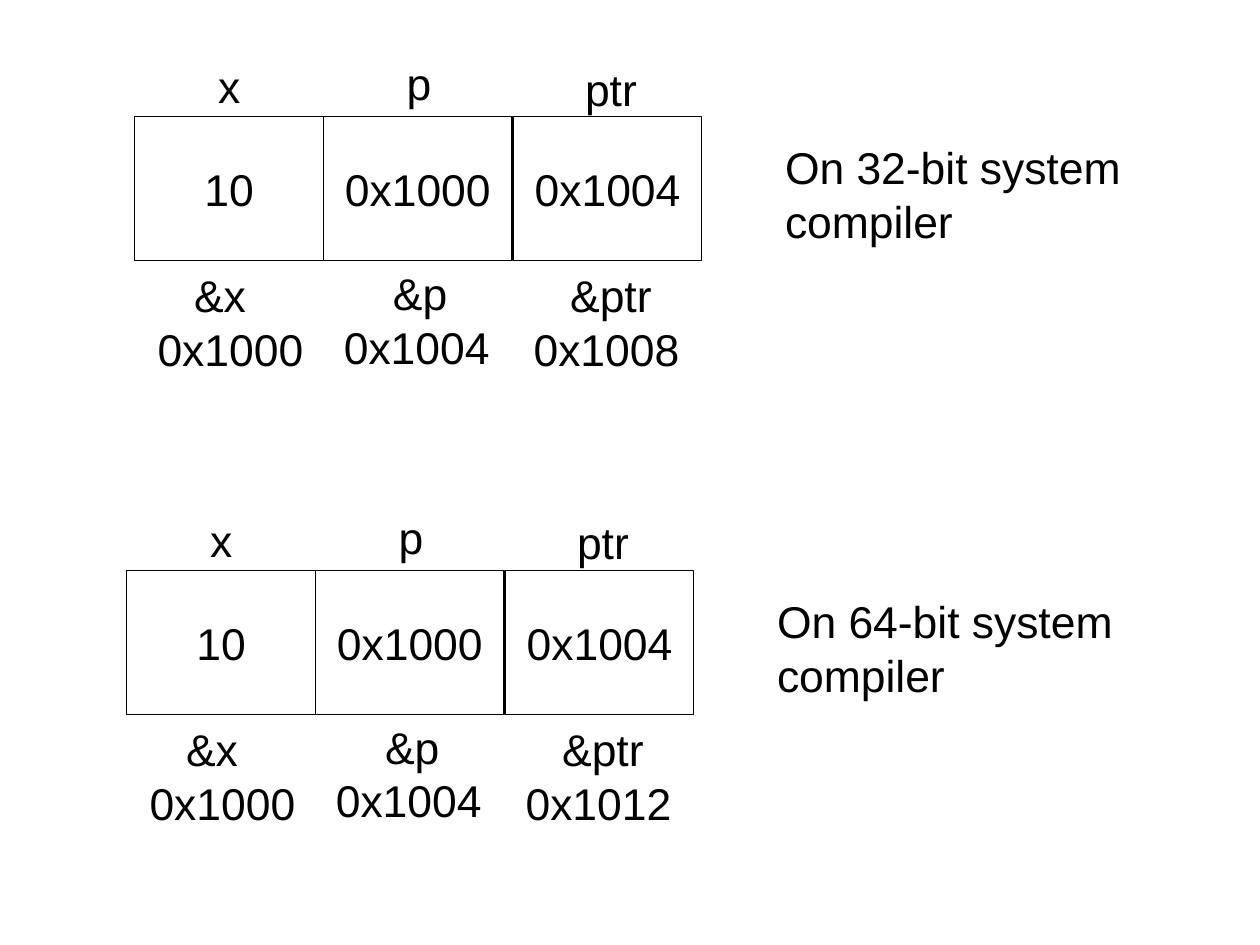
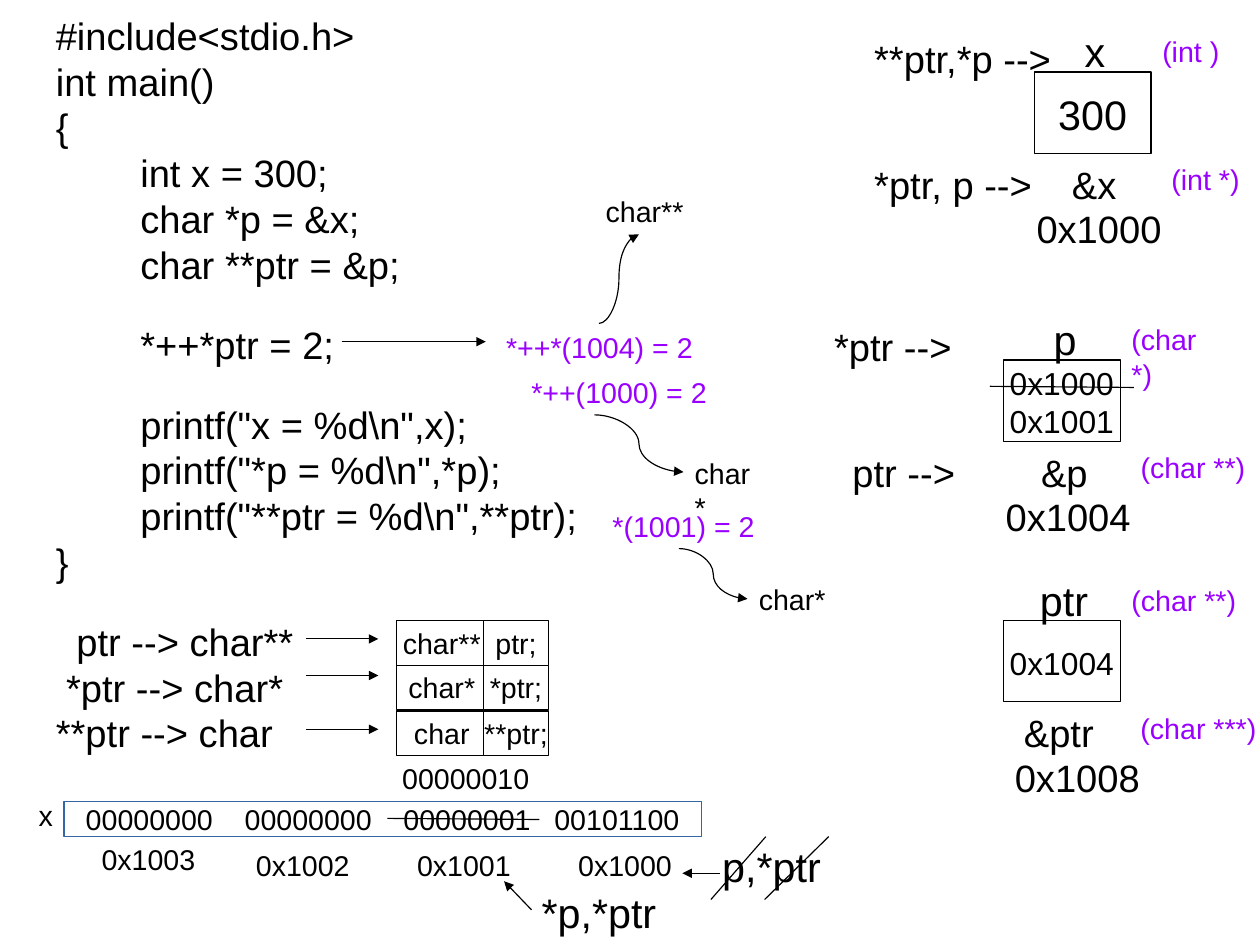
"""Build two slides on pointers in memory and pointer types."""
from dataclasses import dataclass
from typing import NamedTuple

from lxml.etree import SubElement as Sub
from pptx import Presentation as Deck
from pptx.dml.color import RGBColor as Rgb
from pptx.enum.shapes import MSO_CONNECTOR as Conn, MSO_SHAPE as Form
from pptx.enum.text import MSO_ANCHOR as Anchor, PP_ALIGN as Align
from pptx.oxml.ns import qn
from pptx.util import Cm, Pt

SCALE = 9144
FONT = "Arial"
BLACK, WHITE, PURPLE, BLUE = "000000", "FFFFFF", "9900FF", "3465A4"
THIN = 0.75


class Row(NamedTuple):
    text: str
    indent: int = 0
    gap: float = 0


class Style(NamedTuple):
    size: int
    color: str = BLACK
    top: int = 5


class Area(NamedTuple):
    x: int
    y: int
    w: int
    h: int


class Label(NamedTuple):
    rows: list[Row]
    area: Area
    style: Style
    wrap: bool = False


class Link(NamedTuple):
    x1: int
    y1: int
    x2: int
    y2: int
    arrow: bool = True
    curve: bool = False


@dataclass
class Field:
    name: str
    value: str
    addr: str
    name_x: int
    name_y: int
    name_w: int
    addr_x: int
    addr_y: int
    addr_w: int
    addr_h: int
    indent: int


@dataclass
class Var:
    name: str
    values: str
    addr: str
    left: int
    top: int
    size: int
    types: tuple[str, str]
    shifts: tuple[int, int, int]
    widths: tuple[int, int]
    notes: tuple[str, ...] = ()
    starts: tuple[int, ...] = ()


BIG = Style(28)
CODE = Style(24)
NAME = Style(26, top=7)
ADDR = Style(24, top=7)
TYPE = Style(18, PURPLE, 6)
STEP = Style(18, PURPLE)
SMALL = Style(18)


def px(n: int) -> int:
    return n * SCALE


def rgb(code: str) -> Rgb:
    return Rgb.from_string(code)


def rows(text: str) -> list[Row]:
    return [Row(part) for part in text.split("\n")]


def fill_text(shape, lines: list[Row], style: Style, wrap: bool, align, anchor,
              left: int = 10, right: int = 10) -> None:
    frame = shape.text_frame
    form = {"word_wrap": wrap, "vertical_anchor": anchor, "margin_left": px(left),
            "margin_right": px(right), "margin_top": px(style.top), "margin_bottom": px(5)}
    for key, val in form.items():
        setattr(frame, key, val)
    for i, row in enumerate(lines):
        para = frame.add_paragraph() if i else frame.paragraphs[0]
        para.alignment = align
        if row.gap:
            para.space_before = Pt(row.gap)
        if row.indent:
            props = para._p.get_or_add_pPr()
            props.set("marL", str(px(row.indent)))
            props.set("indent", "0")
        run = para.add_run()
        run.text = row.text
        for key, val in {"name": FONT, "size": Pt(style.size)}.items():
            setattr(run.font, key, val)
        run.font.color.rgb = rgb(style.color)


def label(slide, item: Label) -> None:
    box = slide.shapes.add_textbox(*map(px, item.area))
    right = 10 if item.wrap else 0
    fill_text(box, item.rows, item.style, item.wrap, Align.LEFT, Anchor.TOP, right=right)


def frame_box(slide, area: Area, line: str = BLACK):
    box = slide.shapes.add_shape(Form.RECTANGLE, *map(px, area))
    box.shadow.inherit = False
    box.fill.solid()
    box.fill.fore_color.rgb = rgb(WHITE)
    box.line.color.rgb = rgb(line)
    box.line.width = Pt(THIN)
    return box


def cell(slide, text: str, area: Area, style: Style) -> None:
    fill_text(frame_box(slide, area), rows(text), style, False, Align.CENTER, Anchor.MIDDLE)


def link(slide, item: Link) -> None:
    kind = Conn.CURVE if item.curve else Conn.STRAIGHT
    wire = slide.shapes.add_connector(kind, *map(px, item[:4]))
    wire.line.color.rgb = rgb(BLACK)
    wire.line.width = Pt(THIN)
    if item.arrow:
        Sub(wire.line._get_or_add_ln(), qn("a:tailEnd"), type="triangle")
    Sub(wire._element.spPr, qn("a:effectLst"))


def system(slide, bits: int, left: int, top: int, last: str) -> None:
    fields = [
        Field("x", "10", "0x1000", 63, -55, 39, 10, 128, 148, 97, 32),
        Field("p", "0x1000", "0x1004", 228, -58, 41, 173, 126, 148, 97, 43),
        Field("ptr", "0x1004", last, 384, -53, 65, 339, 128, 158, 140, 32),
    ]
    for i, f in enumerate(fields):
        cell(slide, f.value, Area(left + 165 * i + i // 2, top, 165, 126), BIG)
        label(slide, Label(rows(f.name), Area(left + f.name_x, top + f.name_y, f.name_w, 53), BIG))
        pair = [Row("&" + f.name, f.indent), Row(f.addr)]
        label(slide, Label(pair, Area(left + f.addr_x, top + f.addr_y, f.addr_w, f.addr_h), BIG, True))
    title = rows(f"On {bits}-bit system\ncompiler")
    label(slide, Label(title, Area(left + 559, top + 16, 314, 97), BIG, True))


def var(slide, v: Var) -> None:
    cell(slide, v.values, Area(v.left, v.top, 102, 71), Style(v.size, top=7))
    name_x, ref_x, addr_x = (v.left + n for n in v.shifts)
    name_w, ref_w = v.widths
    label(slide, Label(rows(v.name), Area(name_x, v.top - 47, name_w, 50), NAME))
    label(slide, Label(rows("&" + v.name), Area(ref_x, v.top + 71, ref_w, 47), ADDR, True))
    label(slide, Label(rows(v.addr), Area(addr_x, v.top + 110, 142, 47), ADDR, True))
    for text, dx, dy in zip(v.types, (102, 110), (-39, 73)):
        area = Area(v.left + dx, v.top + dy, 11 * len(text) + 3, 38)
        label(slide, Label(rows(text), area, TYPE))
    for text, x, dy in zip(v.notes, v.starts, (-39, 71)):
        label(slide, Label(rows(text), Area(x, v.top + dy, 15 * len(text) + 17, 47), ADDR))


def byte_row(slide) -> None:
    box = frame_box(slide, Area(56, 701, 558, 31), BLUE)
    props = box.text_frame.paragraphs[0]._p.get_or_add_pPr()
    tabs = Sub(props, qn("a:tabLst"))
    for stop in (139, 278, 410):
        Sub(tabs, qn("a:tab"), pos=str(px(stop)), algn="l")
    text = "\t".join(("00000000", "00000000", "00000001", "00101100"))
    fill_text(box, rows(text), SMALL, True, Align.LEFT, Anchor.MIDDLE, 19)


def memory(slide) -> None:
    system(slide, 32, 118, 102, "0x1008")
    system(slide, 64, 111, 499, "0x1012")


def program(slide) -> None:
    pad, gap = " " * 8, 21.6
    code = [
        Row("#include<stdio.h>"),
        Row("int main()"),
        Row("{"),
        Row(pad + "int x = 300;"),
        Row(pad + "char *p = &x;"),
        Row(pad + "char **ptr = &p;"),
        Row(pad + "*++*ptr = 2;", gap=gap),
        Row(pad + r'printf("x = %d\n",x);', gap=gap),
        Row(pad + r'printf("*p = %d\n",*p);'),
        Row(pad + r'printf("**ptr = %d\n",**ptr);'),
        Row("}"),
        Row("ptr --> char**", 18, gap),
        Row("*ptr --> char*", 9),
        Row("**ptr --> char"),
    ]
    label(slide, Label(code, Area(39, 6, 685, 727), CODE, True))

    for v in (
        Var("x", "300", "0x1000", 905, 63, 26, ("(int )", "(int *)"), (34, 23, -8),
            (48, 71), ("**ptr,*p -->", "*ptr, p -->"), (755, 755)),
        Var("p", "0x1000\n0x1001", "0x1004", 878, 315, 20, ("(char *)", "(char **)"), (34, 23, -8),
            (50, 71), ("*ptr -->", "ptr -->"), (720, 736)),
        Var("ptr", "0x1004", "0x1008", 878, 543, 20, ("(char **)", "(char ***)"), (22, 8, 0),
            (72, 87)),
    ):
        var(slide, v)

    pairs = (("char**", "ptr;"), ("char*", "*ptr;"), ("char", "**ptr;"))
    for i, pair in enumerate(pairs):
        for text, x, w in zip(pair, (347, 423), (79, 57)):
            cell(slide, text, Area(x, 543 + 79 * i // 2, w, 39), SMALL)

    byte_row(slide)
    for text, x, y, w, style in (
        ("*++*(1004) = 2", 433, 284, 183, STEP),
        ("*++(1000) = 2", 455, 323, 168, STEP),
        ("*(1001) = 2", 526, 440, 151, STEP),
        ("char**", 520, 165, 82, SMALL),
        ("char*", 654, 504, 78, SMALL),
        ("x", 24, 693, 32, SMALL),
        ("0x1000", 496, 737, 101, SMALL),
        ("0x1001", 355, 737, 101, SMALL),
        ("0x1002", 214, 737, 101, SMALL),
        ("0x1003", 79, 732, 101, SMALL),
        ("00000010", 342, 661, 130, SMALL),
        ("p,*ptr", 622, 729, 107, NAME),
        ("*p,*ptr", 464, 769, 122, NAME),
    ):
        label(slide, Label(rows(text), Area(x, y, w, 50 if style is NAME else 40), style))
    label(slide, Label(rows("char *"), Area(598, 394, 83, 38), SMALL, True))

    for item in (
        *(Link(268, y, 331, y) for y in (559, 591, 638)),
        Link(299, 299, 425, 299),
        Link(630, 764, 597, 764),
        Link(465, 796, 441, 771),
        Link(524, 283, 559, 205, curve=True),
        Link(520, 363, 598, 413, curve=True),
        Link(594, 480, 654, 524, curve=True),
        Link(725, 732, 669, 787, False),
        Link(670, 732, 622, 787, False),
        Link(339, 716, 472, 717, False),
        Link(866, 338, 992, 339, False),
    ):
        link(slide, item)


def main() -> None:
    deck = Deck()
    deck.slide_width, deck.slide_height = Cm(28), Cm(21)
    for draw in (memory, program):
        draw(deck.slides.add_slide(deck.slide_layouts[6]))
    deck.save("out.pptx")


if __name__ == "__main__":
    main()
